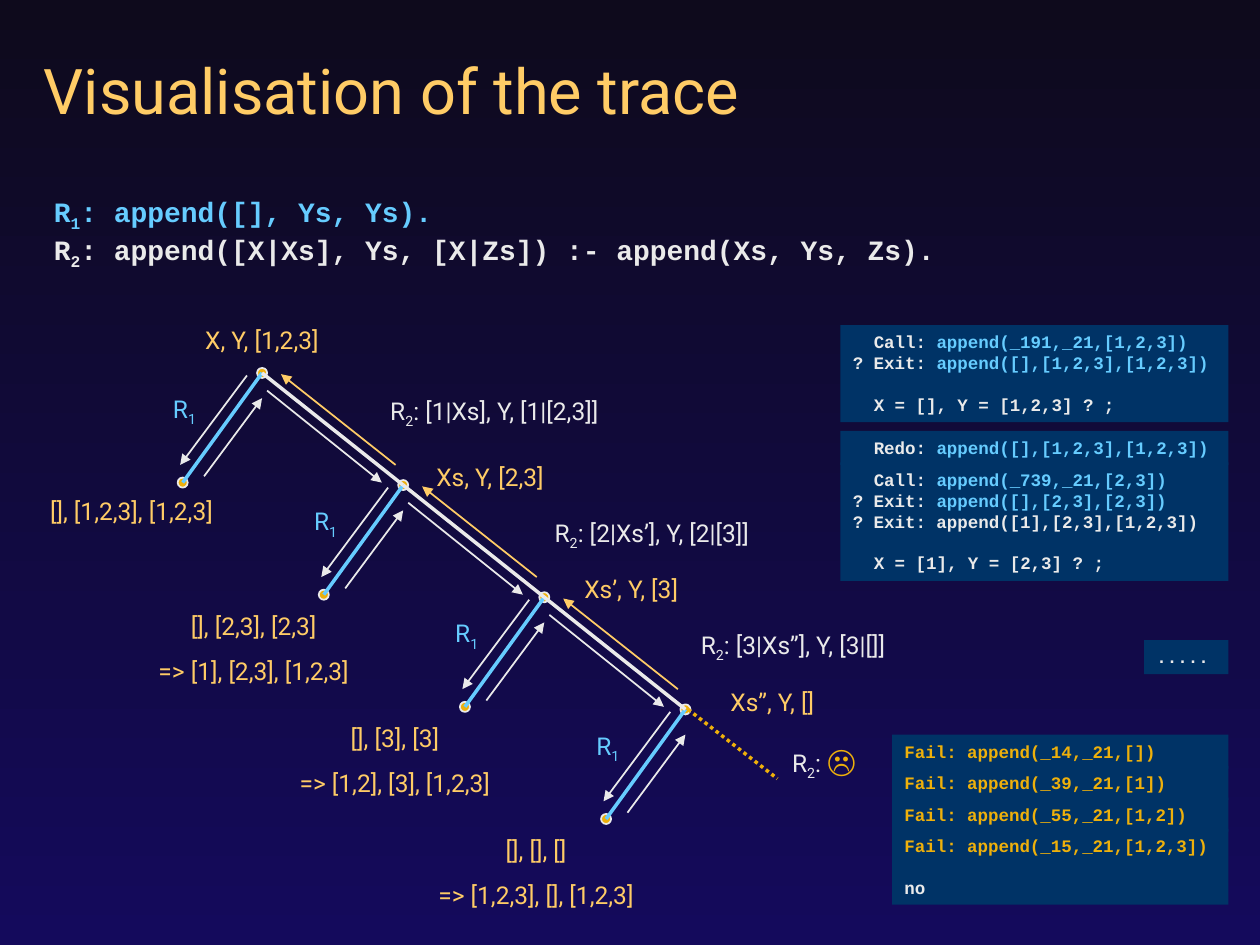
"""Build a slide that visualises the trace of an append query as a search tree."""
from pptx import Presentation
from pptx import util as u
from pptx.dml import color
from pptx.enum import dml, shapes, text
from pptx.oxml import xmlchemy

T = {
    "gold": "FFCC66", "amber": "EEB00B", "blue": "66CCFF", "white": "EAEAEA",
    "panel": "003366", "top": "0E0A1C", "bottom": "140A5C",
    "title": {"name": "Roboto", "size": u.Pt(36), "bold": False},
    "rule": {"name": "Courier New", "size": u.Pt(16), "bold": True},
    "label": {"name": "Roboto", "size": u.Pt(14), "bold": False},
    "trace": {"name": "Courier New", "size": u.Pt(10), "bold": True},
    "face": {"name": "Arial", "size": u.Pt(18), "bold": True},
}
RGB = color.RGBColor.from_string
SHAPE, ALIGN = shapes.MSO_SHAPE, text.PP_ALIGN
SUB = "sub"

prs = Presentation()
prs.slide_width, prs.slide_height = u.Inches(10), u.Inches(7.5)
s = prs.slides.add_slide(prs.slide_layouts[6])
bg = s.background.fill
bg.gradient()
bg.gradient_angle = 270
for stop, name in zip(bg.gradient_stops, ("top", "bottom")):
    stop.color.rgb = RGB(T[name])


def write(box, style, paras, fill=None, anchor=text.MSO_ANCHOR.TOP, **fmt):
    """Add a text box or filled panel; a paragraph is (runs, own format)."""
    box = [u.Inches(v) for v in box]
    if fill:
        sp = s.shapes.add_shape(SHAPE.RECTANGLE, *box)
        sp.shadow.inherit = False
        sp.fill.solid()
        sp.fill.fore_color.rgb = RGB(T[fill])
        sp.line.fill.background()
    else:
        sp = s.shapes.add_textbox(*box)
    tf = sp.text_frame
    tf.word_wrap, tf.vertical_anchor = True, anchor
    for i, (runs, own) in enumerate(paras):
        p = tf.paragraphs[0] if i == 0 else tf.add_paragraph()
        values = {"alignment": ALIGN.LEFT, **fmt, **own}
        p._p.get_or_add_pPr().set("marL", str(values.pop("margin", 0)))
        for k, v in values.items():
            setattr(p, k, v)
        for words, name, *extra in runs:
            r = p.add_run()
            r.text = words
            font = T["face"] if "face" in extra else T[style]
            for k, v in font.items():
                setattr(r.font, k, v)
            r.font.color.rgb = RGB(T[name])
            if SUB in extra:
                r.font._element.set("baseline", "-25000")


def line(start, end, name, width, arrow=False, dash=None):
    """Add a straight line, with an arrowhead at its end if asked."""
    c = s.shapes.add_connector(shapes.MSO_CONNECTOR.STRAIGHT,
                               *[u.Inches(v) for v in (*start, *end)])
    c.line.color.rgb, c.line.width = RGB(T[name]), u.Pt(width)
    if dash:
        c.line.dash_style = dash
    if arrow:
        ln = c.line._get_or_add_ln()
        tail = xmlchemy.OxmlElement("a:tailEnd")
        tail.set("type", "triangle")
        ln.append(tail)
    c._element.spPr.append(xmlchemy.OxmlElement("a:effectLst"))


write((0.25, 0.33, 9.33, 0.75), "title", [([("Visualisation of the trace", "gold")], {})],
      anchor=text.MSO_ANCHOR.MIDDLE)
rules = [("1", "blue", ": append([], Ys, Ys)."),
         ("2", "white", ": append([X|Xs], Ys, [X|Zs]) :- append(Xs, Ys, Zs).")]
write((0.33, 1.5, 9.33, 0.67), "rule",
      [([("R", c), (n, c, SUB), (body, c)], {}) for n, c, body in rules],
      line_spacing=u.Pt(21.6))

centred = {"alignment": ALIGN.CENTER, "space_before": u.Pt(8.8)}
levels = [
    ("X, Y, [1,2,3]", (1.33, 2.53, 1.5, 0.34), None, None,
     ["[], [1,2,3], [1,2,3]"], (0.15, 3.89, 1.79, 0.34)),
    ("Xs, Y, [2,3]", None, ": [1|Xs], Y, [1|[2,3]]", (-0.44, -0.76),
     ["[], [2,3], [2,3]", "=> [1], [2,3], [1,2,3]"], None),
    ("Xs’, Y, [3]", None, ": [2|Xs’], Y, [2|[3]]", (-0.31, -0.68),
     ["[], [3], [3]", "=> [1,2], [3], [1,2,3]"], None),
    ("Xs’’, Y, []", None, ": [3|Xs’’], Y, [3|[]]", (-0.31, -0.68),
     ["[], [], []", "=> [1,2,3], [], [1,2,3]"], None),
]
step_x, step_y, leaf_x, leaf_y, dot = 1.12, 0.89, -0.63, 0.87, 0.08
call_leaf, exit_leaf = ((-0.12, 0.02), (-0.65, 0.73)), ((-0.46, 0.82), (0, 0.2))
call_next, exit_next = ((0.04, 0.14), (0.95, 0.87)), ((1.06, 0.73), (0.15, 0.01))

for i, (goal, goal_box, clause, clause_at, answer, answer_box) in enumerate(levels):
    x, y = 2.08 + i * step_x, 2.96 + i * step_y
    leaf = (x + leaf_x, y + leaf_y)
    for cx, cy in ((x, y), leaf):
        sp = s.shapes.add_shape(SHAPE.FLOWCHART_CONNECTOR, u.Inches(cx - dot / 2),
                                u.Inches(cy - dot / 2), u.Inches(dot), u.Inches(dot))
        sp.shadow.inherit = False
        sp.fill.solid()
        sp.fill.fore_color.rgb = RGB(T["amber"])
        sp.line.color.rgb, sp.line.width = RGB(T["white"]), u.Pt(1)
    line((x, y), leaf, "blue", 2)
    arrows = [(call_leaf, "white"), (exit_leaf, "white")]
    if i < len(levels) - 1:
        arrows += [(call_next, "white"), (exit_next, "gold")]
    for ((x1, y1), (x2, y2)), name in arrows:
        line((x + x1, y + y1), (x + x2, y + y2), name, 1, arrow=True)
    write(goal_box or (x + 0.04, y - 0.23, 1.3, 0.34), "label", [([(goal, "gold")], {})],
          **centred)
    write((x - 0.83, y + 0.12, 0.43, 0.37), "label",
          [([("R", "blue"), ("1", "blue", SUB)], {})], **centred)
    write(answer_box or (x - 2.24, y + 0.95, 2.11, 0.69), "label",
          [([(a, "gold")], {}) for a in answer], **centred)
    if clause:
        line((x - step_x, y - step_y), (x, y), "white", 2)
        write((x + clause_at[0], y + clause_at[1], 2.33, 0.37), "label",
              [([("R", "white"), ("2", "white", SUB), (clause, "white")], {})], **centred)

line((5.46, 5.63), (6.17, 6.18), "amber", 2, dash=dml.MSO_LINE.ROUND_DOT)
write((6.17, 5.83, 0.74, 0.42), "label",
      [([("R", "white"), ("2", "white", SUB), (": ", "white"), ("☹", "amber", "face")], {})],
      **centred)

indent = {"margin": u.Pt(12)}
gap = {"space_before": u.Pt(12)}
panels = [
    ((6.67, 2.58, 3.08, 0.77), [
        ([("Call: ", "white"), ("append(_191,_21,[1,2,3])", "blue")], indent),
        ([("? Exit: ", "white"), ("append([],[1,2,3],[1,2,3])", "blue")], {}),
        ([("X = [], Y = [1,2,3] ? ;", "white")], {**indent, **gap})]),
    ((6.67, 3.42, 3.08, 0.27), [
        ([("Redo: ", "white"), ("append([],[1,2,3],[1,2,3])", "blue")], indent)]),
    ((6.67, 3.67, 3.08, 0.94), [
        ([("Call: ", "white"), ("append(_739,_21,[2,3])", "blue")], indent),
        ([("? Exit: ", "white"), ("append([],[2,3],[2,3])", "blue")], {}),
        ([("? Exit: append([1],[2,3],[1,2,3])", "white")], {}),
        ([("X = [1], Y = [2,3] ? ;", "white")], {**indent, **gap})]),
    ((9.08, 5.08, 0.67, 0.27), [([(".....", "white")], {})]),
]
fails = ["_14,_21,[]", "_39,_21,[1]", "_55,_21,[1,2]", "_15,_21,[1,2,3]"]
for i, args in enumerate(fails):
    panels.append(((7.08, 5.83 + 0.25 * i, 2.67, 0.27),
                   [([(f"Fail: append({args})", "amber")], {})]))
last_box, last_paras = panels.pop()
panels.append(((*last_box[:3], 0.6), last_paras + [([("no", "white")], gap)]))
for box, paras in panels:
    write(box, "trace", paras, fill="panel", line_spacing=u.Pt(12))

prs.save("out.pptx")
